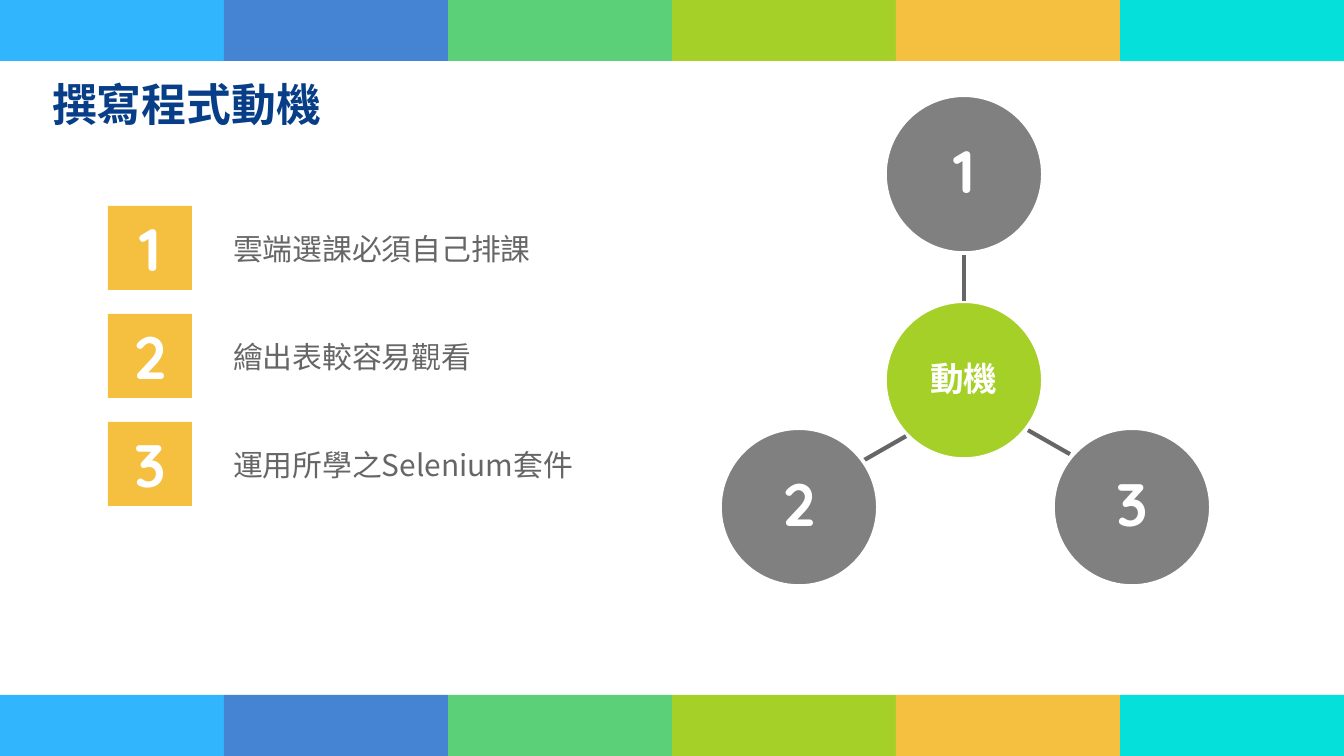
import pptx
import pptx.dml.color
import pptx.enum.shapes
import pptx.enum.text
import pptx.oxml.ns
import pptx.util
from lxml import etree

SCALE = 914400 / 134.4
SHAPE = pptx.enum.shapes.MSO_SHAPE
ALIGN = pptx.enum.text.PP_ALIGN
ANCHOR = pptx.enum.text.MSO_ANCHOR

BAND_COLORS = ["31B6FD", "4584D3", "5BD078", "A5D028", "F5C040", "05E0DB"]
CJK, DIGITS = "Noto Sans CJK SC", "Quicksand"
TITLE_FONT = {"name": CJK, "size": pptx.util.Pt(24), "bold": True}
HUB_FONT = {"name": CJK, "size": pptx.util.Pt(18), "bold": True}
NUMBER_FONT = {"name": DIGITS, "size": pptx.util.Pt(32), "bold": True}
REASON_FONT = {"name": CJK, "size": pptx.util.Pt(16), "bold": False}
REASONS = ["雲端選課必須自己排課", "繪出表較容易觀看", "運用所學之Selenium套件"]


def px(length):
    """Turn px into EMU."""
    return pptx.util.Emu(round(length * SCALE))


def rgb(color):
    """Turn a hex string into a colour."""
    return pptx.dml.color.RGBColor.from_string(color)


def set_all(target, values):
    """Set each named attribute of the target."""
    for name, value in values.items():
        setattr(target, name, value)


def write(holder, words, font, color, align=ALIGN.LEFT, anchor=ANCHOR.TOP,
          inset=(13, 7), spacing=1.0):
    """Write one formatted paragraph into a shape."""
    frame = holder.text_frame
    across, down = map(px, inset)
    set_all(frame, {
        "word_wrap": True, "auto_size": pptx.enum.text.MSO_AUTO_SIZE.NONE,
        "vertical_anchor": anchor, "margin_left": across,
        "margin_right": across, "margin_top": down, "margin_bottom": down})
    paragraph = frame.paragraphs[0]
    set_all(paragraph, {"alignment": align, "line_spacing": spacing})
    run = paragraph.add_run()
    run.text = words
    set_all(run.font, font)
    run.font.color.rgb = rgb(color)
    east_asian = etree.SubElement(run.font._element, pptx.oxml.ns.qn("a:ea"))
    east_asian.set("typeface", font["name"])


def add_filled(slide, kind, box, color, outline=None):
    """Add a flat filled shape with an optional outline."""
    shape = slide.shapes.add_shape(kind, *map(px, box))
    shape.shadow.inherit = False
    shape.fill.solid()
    shape.fill.fore_color.rgb = rgb(color)
    if outline:
        shape.line.color.rgb = rgb(outline)
        shape.line.width = pptx.util.Pt(2)
    else:
        shape.line.fill.background()
    return shape


def add_band(slide, left, top, width, height):
    """Fill the box with a row of equal colour blocks."""
    block = width // len(BAND_COLORS)
    for index, color in enumerate(BAND_COLORS):
        add_filled(slide, SHAPE.RECTANGLE,
                   (left + index * block, top, block, height), color)


def add_title(slide, left, top, width, height):
    """Place and format the title."""
    heading = slide.shapes.title
    set_all(heading, {"left": px(left), "top": px(top),
                      "width": px(width), "height": px(height)})
    write(heading, "撰寫程式動機", TITLE_FONT, "073E87")


def add_reasons(slide, left, top, width, height):
    """List the numbered reasons down the box."""
    side = 84
    pitch = (height - side) / (len(REASONS) - 1)
    for index, reason in enumerate(REASONS):
        row = top + index * pitch
        badge = add_filled(slide, SHAPE.RECTANGLE, (left, row, side, side), "F5C040")
        write(badge, str(index + 1), NUMBER_FONT, "FFFFFF", ALIGN.CENTER, ANCHOR.MIDDLE)
        label = slide.shapes.add_textbox(
            *map(px, (left + 112, row + 18, width - 112, 50)))
        write(label, reason, REASON_FONT, "666666")


def add_circle(slide, center_x, center_y, color, words, font):
    """Add a labelled circle around a centre."""
    size = 158
    circle = add_filled(slide, SHAPE.OVAL,
                        (center_x - size / 2, center_y - size / 2, size, size),
                        color, "FFFFFF")
    write(circle, words, font, "FFFFFF", ALIGN.CENTER, ANCHOR.MIDDLE, (9, 9), 0.9)


def add_spoke(slide, start_x, start_y, end_x, end_y):
    """Add a plain line between two points."""
    spoke = slide.shapes.add_connector(
        pptx.enum.shapes.MSO_CONNECTOR.STRAIGHT,
        *map(px, (start_x, start_y, end_x, end_y)))
    spoke.line.color.rgb = rgb("666666")
    spoke.line.width = pptx.util.Pt(2.25)
    etree.SubElement(spoke._element.spPr, pptx.oxml.ns.qn("a:effectLst"))


def add_hub_diagram(slide, left, top, width, height):
    """Draw the hub and its three numbered satellites in the box."""
    hub_x, hub_y = left + width / 2, top + height * 0.58
    satellites = [
        ((0, -206), (0, -79, 0, -127)),
        ((-165, 127), (-58, 56, -100, 80)),
        ((168, 127), (64, 50, 106, 74)),
    ]
    add_circle(slide, hub_x, hub_y, "A5D028", "動機", HUB_FONT)
    for number, (offset, spoke) in enumerate(satellites, 1):
        start_x, start_y, end_x, end_y = spoke
        add_spoke(slide, hub_x + start_x, hub_y + start_y,
                  hub_x + end_x, hub_y + end_y)
        add_circle(slide, hub_x + offset[0], hub_y + offset[1],
                   "808080", str(number), NUMBER_FONT)


def main():
    """Build and save the slide."""
    deck = pptx.Presentation()
    set_all(deck, {"slide_width": px(1344), "slide_height": px(756)})
    slide = deck.slides.add_slide(deck.slide_layouts.get_by_name("Title Only"))
    for top in (0, 695):
        add_band(slide, 0, top, 1344, 61)
    add_title(slide, 39, 70, 472, 122)
    add_hub_diagram(slide, 720, 96, 488, 490)
    add_reasons(slide, 108, 206, 520, 300)
    deck.save("out.pptx")


if __name__ == "__main__":
    main()
